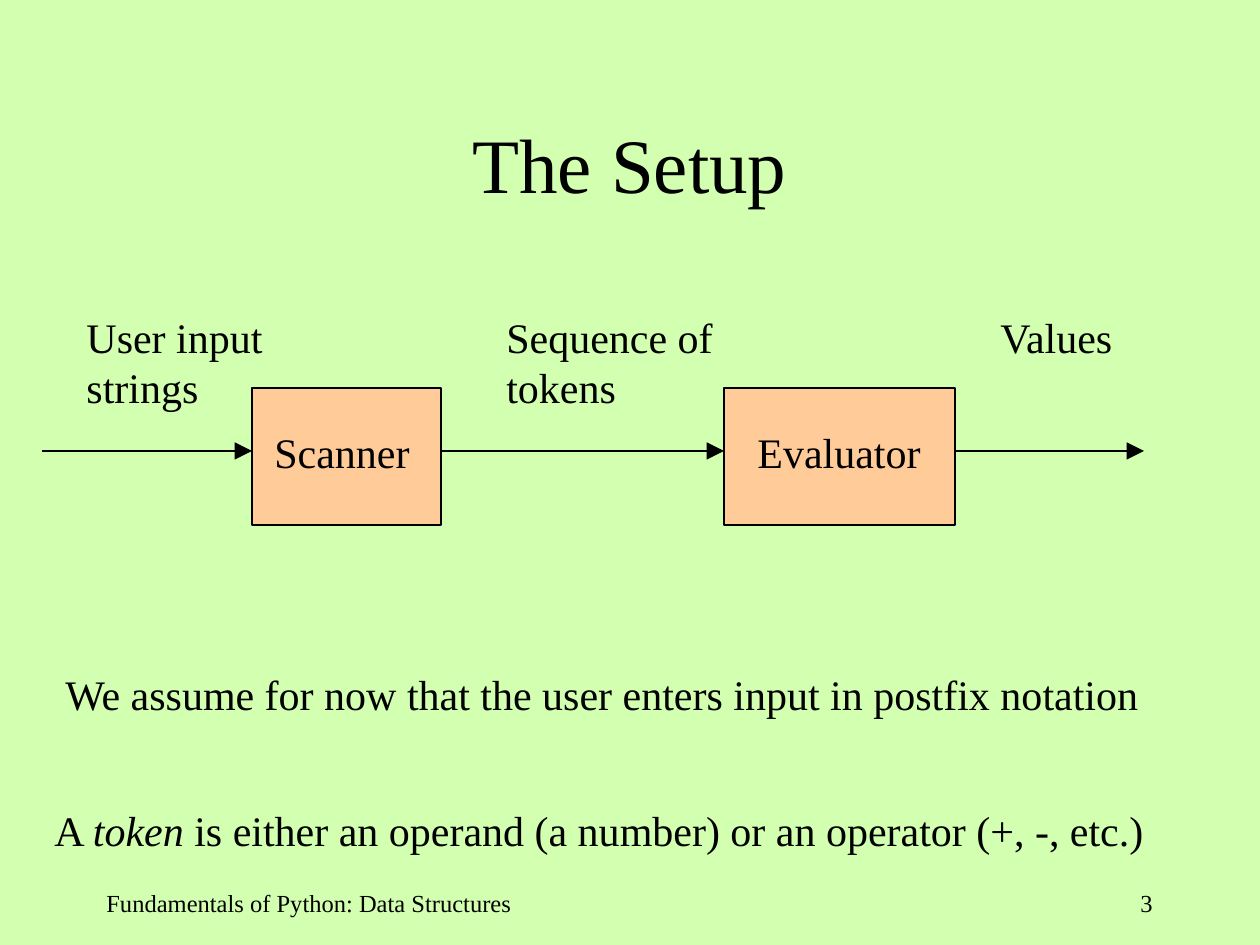
"""Build the slide that shows input strings passing through a scanner and an evaluator."""
from lxml import etree
from pptx import Presentation
from pptx.dml.color import RGBColor
from pptx.enum.shapes import MSO_CONNECTOR, MSO_SHAPE
from pptx.enum.text import MSO_ANCHOR, MSO_AUTO_SIZE, PP_ALIGN
from pptx.oxml.ns import qn
from pptx.util import Emu, Pt

SCALE = 914400 / 126
BLACK = RGBColor(0x00, 0x00, 0x00)
GREEN = RGBColor(0xD2, 0xFF, 0xB0)
ORANGE = RGBColor(0xFF, 0xCC, 0x99)
RECTANGLE = MSO_SHAPE.RECTANGLE
STRAIGHT = MSO_CONNECTOR.STRAIGHT
LEFT, CENTER, RIGHT = PP_ALIGN.LEFT, PP_ALIGN.CENTER, PP_ALIGN.RIGHT
TOP, MIDDLE = MSO_ANCHOR.TOP, MSO_ANCHOR.MIDDLE
FIXED, GROW = MSO_AUTO_SIZE.NONE, MSO_AUTO_SIZE.SHAPE_TO_FIT_TEXT
FONT = {"name": "Times New Roman", "italic": False}


def px(*lengths):
    return [Emu(round(length * SCALE)) for length in lengths]


def add_text(place, lines, size=24, align=LEFT, anchor=TOP, wrap=False, fit=GROW):
    box = page.shapes.add_textbox(*px(*place))
    frame = box.text_frame
    settings = {"word_wrap": wrap, "auto_size": fit, "vertical_anchor": anchor}
    for name, value in settings.items():
        setattr(frame, name, value)
    for index, spans in enumerate(lines):
        para = frame.add_paragraph() if index else frame.paragraphs[0]
        para.alignment = align
        for text, changes in spans:
            span = para.add_run()
            span.text = text
            for name, value in {**FONT, "size": Pt(size), **changes}.items():
                setattr(span.font, name, value)
            span.font.color.rgb = BLACK


deck = Presentation()
deck.slide_width, deck.slide_height = px(1260, 945)
page = deck.slides.add_slide(deck.slide_layouts[6])
page.background.fill.solid()
page.background.fill.fore_color.rgb = GREEN

add_text((94, 84, 1071, 158), [[("The Setup", {})]], 44, CENTER, MIDDLE, True, FIXED)

for left, width in ((252, 189), (724, 231)):
    stage = page.shapes.add_shape(RECTANGLE, *px(left, 388, width, 137))
    stage.shadow.inherit = False
    stage.fill.solid()
    stage.fill.fore_color.rgb = ORANGE
    stage.line.color.rgb = BLACK
    stage.line.width = Pt(0.75)

for start, end in ((42, 252), (441, 724), (955, 1144)):
    arrow = page.shapes.add_connector(STRAIGHT, *px(start, 451, end, 451))
    arrow.line.color.rgb = BLACK
    arrow.line.width = Pt(0.75)
    outline = arrow.line._get_or_add_ln()
    etree.SubElement(outline, qn("a:tailEnd"), type="triangle", w="lg", len="lg")
    etree.SubElement(arrow._element.spPr, qn("a:effectLst"))

LABELS = (
    ((262, 420, 168, 63), ["Scanner"]),
    ((745, 420, 196, 63), ["Evaluator"]),
    ((74, 305, 210, 113), ["User input", "strings"]),
    ((494, 305, 240, 113), ["Sequence of", "tokens"]),
    ((988, 305, 149, 63), ["Values"]),
)
for place, lines in LABELS:
    add_text(place, [[(line, {})] for line in lines], wrap=True)

assumption = "We assume for now that the user enters input in postfix notation"
add_text((53, 662, 1113, 63), [[(assumption, {})]], wrap=True)

definition = [
    ("A ", {}),
    ("token", {"italic": True}),
    (" is either an operand (a number) or an operator (+, -, etc.)", {}),
]
add_text((42, 798, 1116, 63), [definition])

FOOTERS = (
    ((94, 882, 494, 63), "Fundamentals of Python: Data Structures", LEFT),
    ((903, 882, 262, 63), "3", RIGHT),
)
for place, text, align in FOOTERS:
    add_text(place, [[(text, {})]], 14, align, wrap=True, fit=FIXED)

deck.save("out.pptx")
